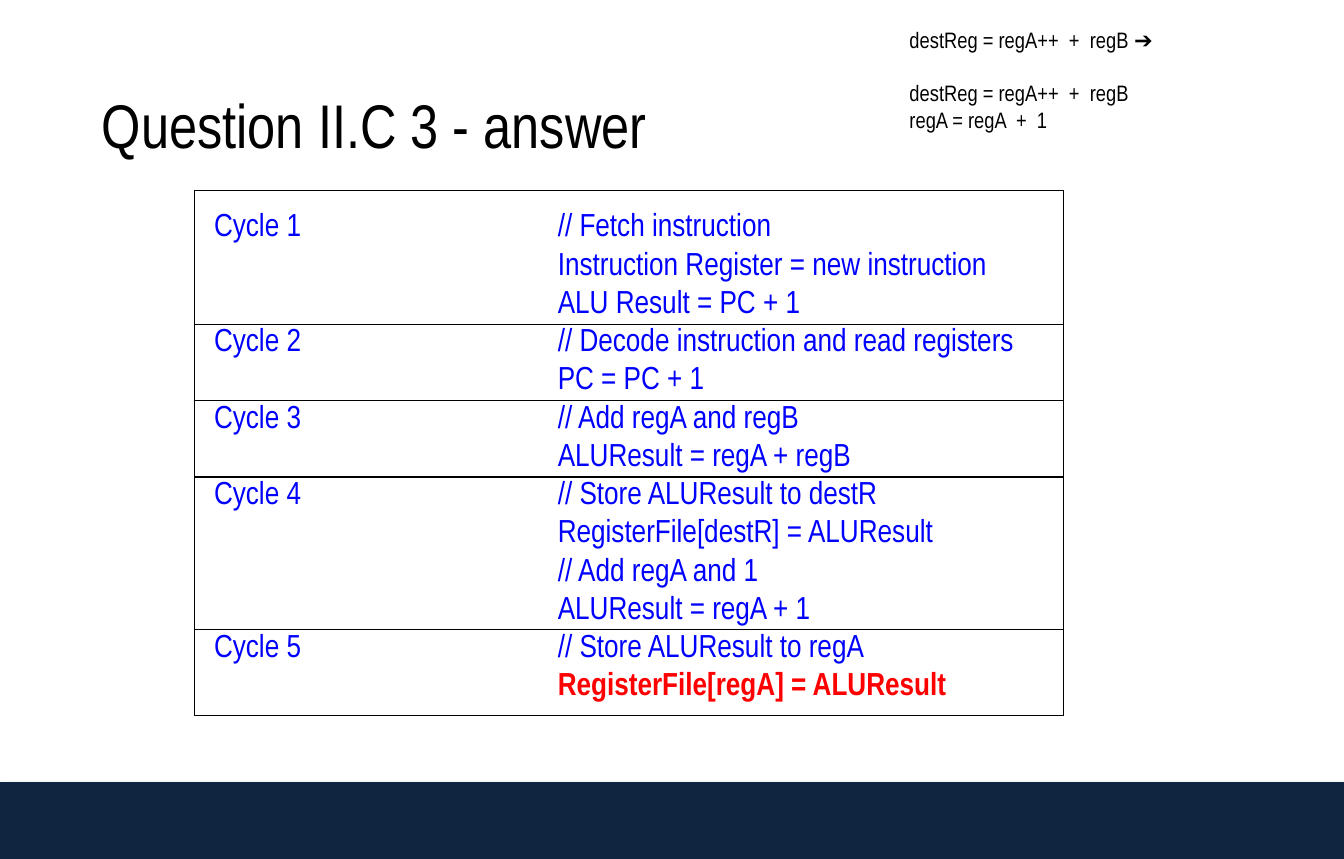
from dataclasses import dataclass

from lxml import etree
from pptx import Presentation
from pptx.dml.color import RGBColor
from pptx.enum.shapes import MSO_CONNECTOR, MSO_SHAPE
from pptx.enum.text import MSO_ANCHOR
from pptx.oxml.ns import qn
from pptx.util import Cm, Pt

RECTANGLE = MSO_SHAPE.RECTANGLE
STRAIGHT = MSO_CONNECTOR.STRAIGHT
TOP, MIDDLE = MSO_ANCHOR.TOP, MSO_ANCHOR.MIDDLE


@dataclass(frozen=True)
class Theme:
    font: str = "Arial Narrow"
    ink: str = "000000"
    step: str = "0000FF"
    highlight: str = "FF0000"
    footer: str = "10253F"
    shadow: str = "808080"
    title_size: float = 43.9
    step_size: float = 22.7
    note_size: float = 15.9
    line_width: float = 0.75


@dataclass(frozen=True)
class Box:
    left: float
    top: float
    width: float
    height: float

    def lengths(self) -> tuple:
        return Cm(self.left), Cm(self.top), Cm(self.width), Cm(self.height)


@dataclass(frozen=True)
class Line:
    text: str
    size: float
    color: str
    bold: bool = False
    space_before: float = 0
    line_spacing: float = 1.0


@dataclass(frozen=True)
class Cycle:
    name: str
    actions: tuple


THEME = Theme()
SLIDE_WIDTH, SLIDE_HEIGHT = 33.78, 21.59
FOOTER = Box(0, 19.66, SLIDE_WIDTH, 1.93)
TITLE = Box(2.31, 1.14, 29.13, 4.17)
FRAME = Box(4.9, 4.8, 21.82, 13.18)
STEPS = Box(5.13, 5.03, 21.5, 12.85)
NOTE = Box(22.61, 0.53, 7.2, 2.97)
ACTION_TAB = 8.64
FIRST_LINE_TOP, LINE_PITCH = 5.27, 0.96

KEY_ACTION = "RegisterFile[regA] = ALUResult"
CYCLES = [
    Cycle("Cycle 1", ("// Fetch instruction",
                      "Instruction Register = new instruction",
                      "ALU Result = PC + 1")),
    Cycle("Cycle 2", ("// Decode instruction and read registers", "PC = PC + 1")),
    Cycle("Cycle 3", ("// Add regA and regB", "ALUResult = regA + regB")),
    Cycle("Cycle 4", ("// Store ALUResult to destR",
                      "RegisterFile[destR] = ALUResult",
                      "// Add regA and 1",
                      "ALUResult = regA + 1")),
    Cycle("Cycle 5", ("// Store ALUResult to regA", KEY_ACTION)),
]


def rgb(color: str) -> RGBColor:
    return RGBColor.from_string(color)


def add_text(slide, box: Box, lines: list[Line], anchor=TOP, tab: float = 0) -> None:
    frame = slide.shapes.add_textbox(*box.lengths()).text_frame
    frame.word_wrap = True
    frame.vertical_anchor = anchor
    for index, line in enumerate(lines):
        paragraph = frame.paragraphs[0] if index == 0 else frame.add_paragraph()
        paragraph.text = line.text
        paragraph.line_spacing = line.line_spacing
        if line.space_before:
            paragraph.space_before = Pt(line.space_before)
        if tab:
            stops = etree.SubElement(paragraph._p.get_or_add_pPr(), qn("a:tabLst"))
            etree.SubElement(stops, qn("a:tab"), pos=str(Cm(tab)), algn="l")
        font = paragraph.font
        font.name = THEME.font
        font.size = Pt(line.size)
        font.bold = line.bold
        font.color.rgb = rgb(line.color)


def add_footer(slide) -> None:
    band = slide.shapes.add_shape(RECTANGLE, *FOOTER.lengths())
    band.fill.solid()
    band.fill.fore_color.rgb = rgb(THEME.footer)
    band.line.fill.background()
    band.shadow.inherit = False
    effects = band._element.spPr.find(qn("a:effectLst"))
    shadow = etree.SubElement(effects, qn("a:outerShdw"), blurRad=str(Pt(3.1)),
                              dist=str(Pt(1.8)), dir="5400000", rotWithShape="0")
    color = etree.SubElement(shadow, qn("a:srgbClr"), val=THEME.shadow)
    etree.SubElement(color, qn("a:alpha"), val="35000")


def add_frame(slide) -> None:
    frame = slide.shapes.add_shape(RECTANGLE, *FRAME.lengths())
    frame.fill.background()
    frame.line.color.rgb = rgb(THEME.ink)
    frame.line.width = Pt(THEME.line_width)
    frame.shadow.inherit = False


def add_divider(slide, y: float) -> None:
    divider = slide.shapes.add_connector(
        STRAIGHT, Cm(FRAME.left), Cm(y), Cm(FRAME.left + FRAME.width), Cm(y))
    divider.line.color.rgb = rgb(THEME.ink)
    divider.line.width = Pt(THEME.line_width)
    etree.SubElement(divider._element.spPr, qn("a:effectLst"))


def step_lines() -> list[Line]:
    lines = []
    for cycle in CYCLES:
        for index, action in enumerate(cycle.actions):
            name = cycle.name if index == 0 else ""
            is_key = action == KEY_ACTION
            color = THEME.highlight if is_key else THEME.step
            lines.append(Line(f"{name}\t{action}", THEME.step_size, color, is_key))
    return lines


def main() -> None:
    prs = Presentation()
    prs.slide_width, prs.slide_height = Cm(SLIDE_WIDTH), Cm(SLIDE_HEIGHT)
    slide = prs.slides.add_slide(prs.slide_layouts[6])

    # Footer band and title
    add_footer(slide)
    add_text(slide, TITLE, [Line("Question II.C 3 - answer", THEME.title_size,
                                 THEME.ink, line_spacing=0.9)], MIDDLE)

    # Cycle steps, framed and divided after each cycle but the last
    add_text(slide, STEPS, step_lines(), tab=ACTION_TAB)
    add_frame(slide)
    y = FIRST_LINE_TOP
    for cycle in CYCLES[:-1]:
        y += len(cycle.actions) * LINE_PITCH
        add_divider(slide, y)

    # Instruction and its expansion
    add_text(slide, NOTE, [
        Line("destReg = regA++  +  regB ➔", THEME.note_size, THEME.ink),
        Line("destReg = regA++  +  regB", THEME.note_size, THEME.ink, space_before=19),
        Line("regA = regA  +  1", THEME.note_size, THEME.ink),
    ])

    prs.save("out.pptx")


if __name__ == "__main__":
    main()
